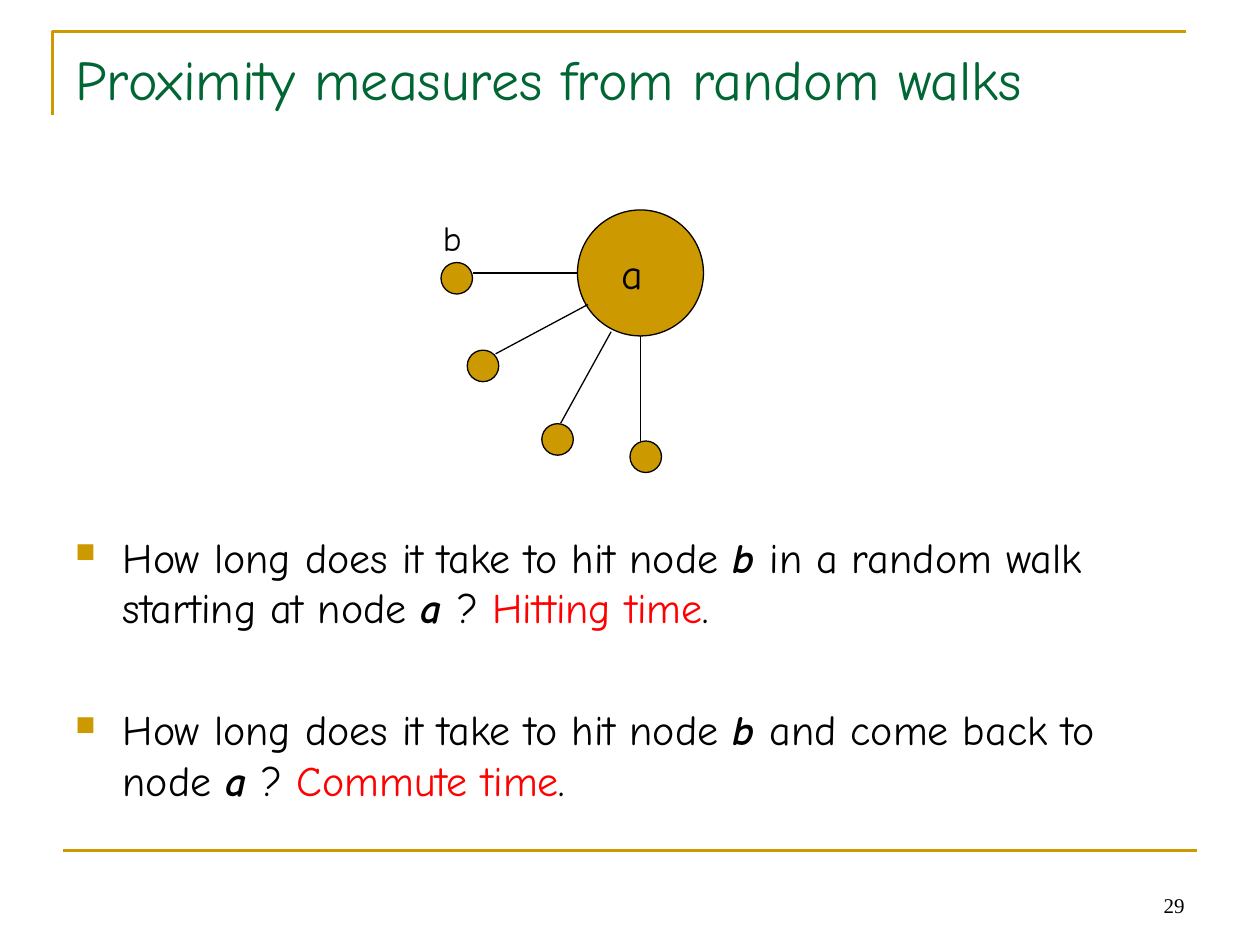
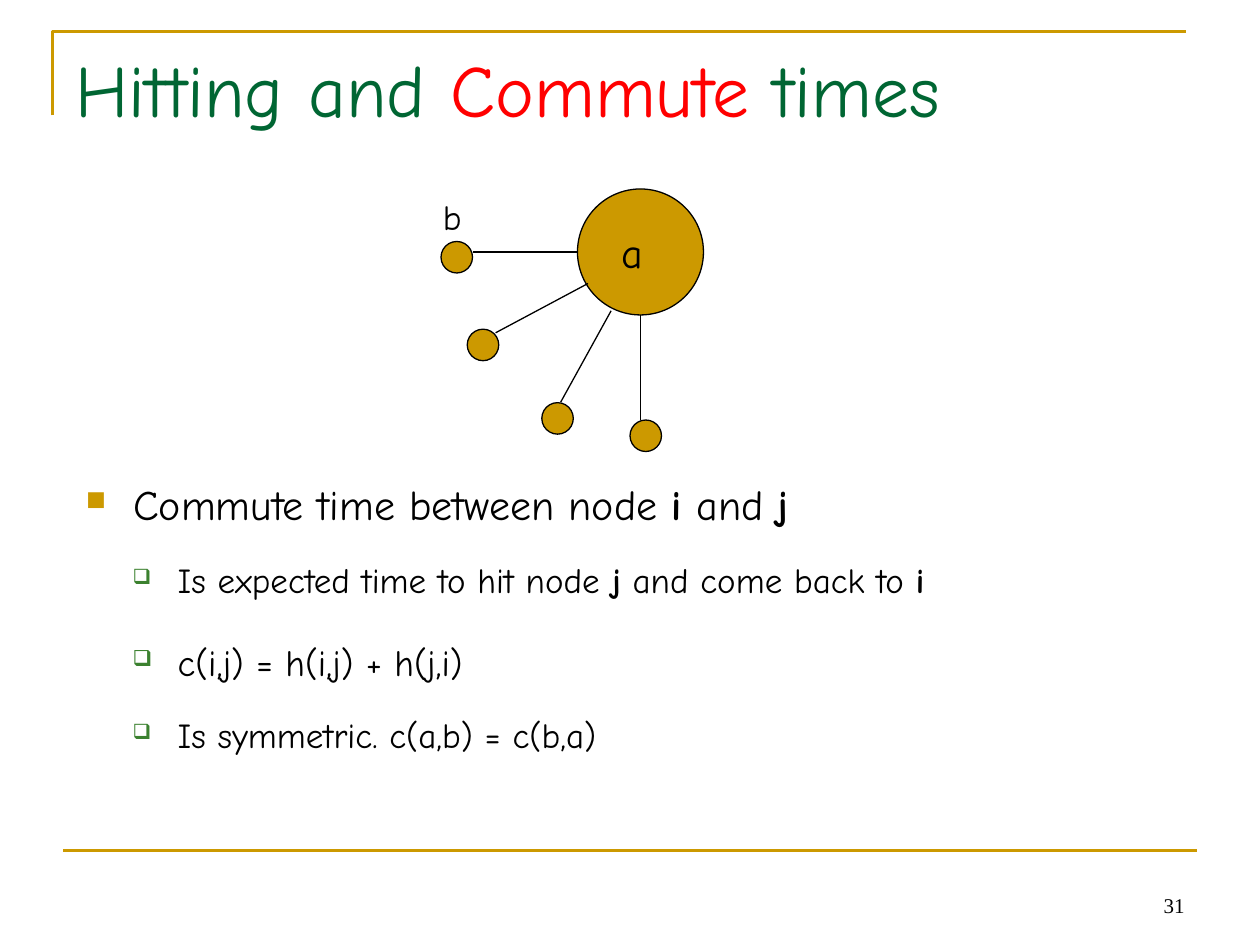
from lxml import etree
from pptx import Presentation
from pptx import util as u
from pptx.dml.color import RGBColor
from pptx.enum import shapes, text
from pptx.oxml import ns

GOLD = RGBColor(0xCC, 0x99, 0x00)
GREEN = RGBColor(0x00, 0x66, 0x33)
LEAF = RGBColor(0x3B, 0x81, 0x2F)
RED = RGBColor(0xFF, 0x00, 0x00)
BLACK = RGBColor(0x00, 0x00, 0x00)
FONT, SERIF = "Comic Neue", "Times New Roman"
COLS, ROWS = 120, 90

# Bullet styles: level, sign, colour, size in percent, text indent, hang (columns)
MAIN = (0, "■", GOLD, 65, 4.5, 4.5)
SUB = (1, "❑", LEAF, 60, 8.75, 4.3)

# Graph around its top left corner, in columns and rows
HUB = (14, 0, 12, 12)
LEAVES = [(1, 5), (3.5, 13.35), (10.6, 20.35), (19, 22)]
EDGES = [(4, 6, 14, 6), (6.2, 13.7, 15, 9),
         (12.4, 20.3, 17.2, 11.6), (20, 22, 20, 12)]


class Deck:
    def __init__(self):
        self.prs = Presentation()
        self.prs.slide_width, self.prs.slide_height = u.Inches(10), u.Inches(7.5)
        self.cell = self.prs.slide_width // COLS

    def grid(self, *nums):
        """Turn columns or rows into lengths."""
        return [u.Emu(round(n * self.cell)) for n in nums]

    def start(self, title, size, page):
        self.slide = self.prs.slides.add_slide(self.prs.slide_layouts[5])
        self.frame()
        self.number(page)
        self.title(title, size)

    def frame(self):
        """Draw the gold corner and the gold base line."""
        pts = [self.grid(*p) for p in [(5, 11), (5, 3), (113, 3)]]
        path = self.slide.shapes.build_freeform(*pts[0])
        path.add_line_segments(pts[1:], close=False)
        corner = path.convert_to_shape()
        corner.fill.background()
        corner.shadow.inherit = False
        self.pen(corner, GOLD, 1.5)
        self.line(self.slide, (6, 81, 114, 81), GOLD, 1.5)

    def number(self, page):
        tf = self.box(self.slide, (86, 82, 28, 6))
        tf.vertical_anchor = text.MSO_ANCHOR.BOTTOM
        para = tf.paragraphs[0]
        para.alignment = text.PP_ALIGN.RIGHT
        self.run(para, str(page), 12, font=SERIF)

    def title(self, parts, size):
        head = self.slide.shapes.title
        head.left, head.top, head.width, head.height = self.grid(6, 3.6, 108, 15)
        tf = head.text_frame
        tf.word_wrap = True
        tf.auto_size = text.MSO_AUTO_SIZE.NONE
        tf.vertical_anchor = text.MSO_ANCHOR.TOP
        para = tf.paragraphs[0]
        para.alignment = text.PP_ALIGN.LEFT
        for words, color in parts:
            self.run(para, words, size, color)

    def pen(self, shape, color=BLACK, width=0.75):
        shape.line.color.rgb = color
        shape.line.width = u.Pt(width)

    def line(self, home, ends, color=BLACK, width=0.75):
        link = home.shapes.add_connector(
            shapes.MSO_CONNECTOR.STRAIGHT, *self.grid(*ends))
        self.pen(link, color, width)
        etree.SubElement(link._element.spPr, ns.qn("a:effectLst"))

    def disc(self, home, area):
        disc = home.shapes.add_shape(shapes.MSO_SHAPE.OVAL, *self.grid(*area))
        disc.shadow.inherit = False
        disc.fill.solid()
        disc.fill.fore_color.rgb = GOLD
        self.pen(disc)

    def box(self, home, area):
        tf = home.shapes.add_textbox(*self.grid(*area)).text_frame
        tf.word_wrap = True
        return tf

    def run(self, para, words, size, color=BLACK, style="", font=FONT):
        """Add one run; style may hold b for bold and i for italic."""
        run = para.add_run()
        run.text = words
        run.font.name = font
        run.font.size = u.Pt(size)
        run.font.color.rgb = color
        run.font.bold = "b" in style
        run.font.italic = "i" in style

    def bullet(self, para, kind):
        level, sign, color, share, left, hang = kind
        para.level = level
        ppr = para._p.get_or_add_pPr()
        left, hang = self.grid(left, hang)
        ppr.set("marL", str(left))
        ppr.set("indent", str(-hang))
        tint = etree.SubElement(ppr, ns.qn("a:buClr"))
        etree.SubElement(tint, ns.qn("a:srgbClr"), val=str(color))
        etree.SubElement(ppr, ns.qn("a:buSzPct"), val=str(share * 1000))
        etree.SubElement(ppr, ns.qn("a:buChar"), char=sign)

    def body(self, area, items):
        """Fill a box with items of (bullet, size, space before, runs)."""
        tf = self.box(self.slide, area)
        for i, (kind, size, gap, runs) in enumerate(items):
            para = tf.add_paragraph() if i else tf.paragraphs[0]
            para.space_before = u.Pt(gap)
            self.bullet(para, kind)
            for words, *look in runs:
                self.run(para, words, size, *look)

    def graph(self, x, y):
        """Draw hub a with its four leaves, the first one named b."""
        group = self.slide.shapes.add_group_shape()
        for left, top in LEAVES:
            self.disc(group, (x + left, y + top, 3, 3))
        left, top, *size = HUB
        self.disc(group, (x + left, y + top, *size))
        for x1, y1, x2, y2 in EDGES:
            self.line(group, (x + x1, y + y1, x + x2, y + y2))
        for name, size, left, top in [("a", 24, 17, 3), ("b", 20, 0, 0)]:
            tf = self.box(group, (x + left, y + top, 6, size / 4))
            self.run(tf.paragraphs[0], name, size)


def ask(middle, answer):
    """Runs of a question that ends in the red name of its measure."""
    return [("How long does it take to hit node ",), ("b ", BLACK, "bi"),
            (middle,), ("a ", BLACK, "bi"), ("? ",), (answer, RED), (".",)]


def main():
    deck = Deck()

    deck.start([("Proximity measures from random walks", GREEN)], 32, 29)
    deck.body((6, 50, 108, 30.5), [
        (MAIN, 24, 6, ask("in a random walk starting at node ", "Hitting time")),
        (MAIN, 24, 41, ask("and come back to node ", "Commute time")),
    ])
    deck.graph(41, 20)

    deck.start([("Hitting and ", GREEN), ("Commute", RED), (" times", GREEN)],
               42, 31)
    deck.body((7, 45, 108, 35), [
        (MAIN, 24, 6, [("Commute time between node ",), ("i ", BLACK, "b"),
                       ("and ",), ("j", BLACK, "b")]),
        (SUB, 20, 17, [("Is expected time to hit node ",), ("j", BLACK, "b"),
                       (" and come back to ",), ("i", BLACK, "b")]),
        (SUB, 21, 22, [("c(i,j) = h(i,j) + h(j,i)",)]),
        (SUB, 20, 17, [("Is symmetric. c(a,b) = c(b,a)",)]),
    ])
    deck.graph(41, 18)

    deck.prs.save("out.pptx")


if __name__ == "__main__":
    main()
